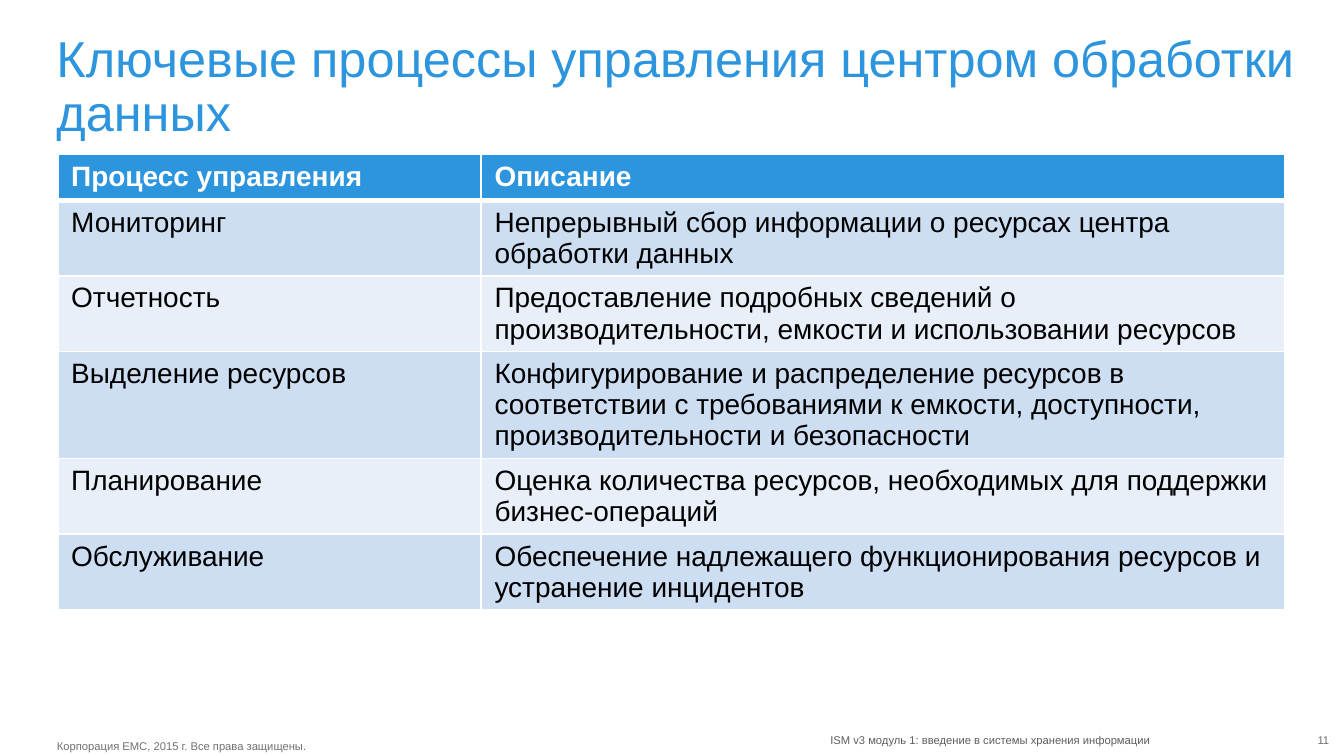
from lxml import etree
from pptx import Presentation
from pptx.dml.color import RGBColor
from pptx.enum import text as t
from pptx.oxml import ns
from pptx.util import Inches, Pt

FONT = "Arial"
BLUE = RGBColor(0x2C, 0x95, 0xDD)
BAND_DARK = RGBColor(0xCD, 0xDD, 0xF2)
BAND_LIGHT = RGBColor(0xE8, 0xEF, 0xF9)
WHITE = RGBColor(0xFF, 0xFF, 0xFF)
BLACK = RGBColor(0, 0, 0)
GREY = RGBColor(0x71, 0x70, 0x73)
DARK_GREY = RGBColor(0x5B, 0x5E, 0x61)

# Content
TITLE = "Ключевые процессы управления центром обработки данных"
ROWS = [
    ("Процесс управления", "Описание"),
    ("Мониторинг", "Непрерывный сбор информации о ресурсах центра обработки данных"),
    ("Отчетность", "Предоставление подробных сведений о производительности, "
                   "емкости и использовании ресурсов"),
    ("Выделение ресурсов", "Конфигурирование и распределение ресурсов в соответствии "
                           "с требованиями к емкости, доступности, "
                           "производительности и безопасности"),
    ("Планирование", "Оценка количества ресурсов, необходимых для поддержки бизнес-операций"),
    ("Обслуживание", "Обеспечение надлежащего функционирования ресурсов "
                     "и устранение инцидентов"),
]
COLUMN_WIDTHS = (3.15, 5.98)
ROW_HEIGHT = 0.34

# Footer: text, place, colour, alignment, margins kept, wrapped
FOOTER = [
    (" Корпорация EMC, 2015 г. Все права защищены.", (0.4, 5.5, 1.91, 0.1),
     GREY, t.PP_ALIGN.LEFT, False, False),
    ("ISM v3 модуль 1: введение в системы хранения информации", (6.08, 5.41, 2.83, 0.2),
     DARK_GREY, t.PP_ALIGN.LEFT, True, True),
    ("11", (9.58, 5.46, 0.31, 0.1), GREY, t.PP_ALIGN.RIGHT, False, True),
]


def add_span(para, words, size, color, bold=False):
    span = para.add_run()
    span.text = words
    span.font.name = FONT
    span.font.size = Pt(size)
    span.font.bold = bold
    span.font.color.rgb = color


def clear_margins(frame):
    frame.margin_left = frame.margin_right = 0
    frame.margin_top = frame.margin_bottom = 0


def add_borders(cell, top, bottom):
    """White cell edges; must come before the cell's fill."""
    properties = cell._tc.get_or_add_tcPr()
    for side, width in (("L", 1), ("R", 1), ("T", top), ("B", bottom)):
        line = etree.SubElement(properties, ns.qn(f"a:ln{side}"), w=str(Pt(width)))
        fill = etree.SubElement(line, ns.qn("a:solidFill"))
        etree.SubElement(fill, ns.qn("a:srgbClr"), val=str(WHITE))


# Wide page, 16 by 9
deck = Presentation()
deck.slide_width = Inches(10)
deck.slide_height = deck.slide_width * 9 // 16
page = deck.slides.add_slide(deck.slide_layouts[5])

# Title
title = page.shapes.title
title.left, title.top, title.width, title.height = map(Inches, (0.42, 0.25, 9.59, 0.5))
frame = title.text_frame
clear_margins(frame)
frame.word_wrap = True
frame.auto_size = t.MSO_AUTO_SIZE.NONE
frame.vertical_anchor = t.MSO_ANCHOR.TOP
para = frame.paragraphs[0]
para.alignment = t.PP_ALIGN.LEFT
para.line_spacing = 0.9
add_span(para, TITLE, 27, BLUE)

# Process table
table = page.shapes.add_table(
    len(ROWS), len(COLUMN_WIDTHS), Inches(0.43), Inches(1.15),
    Inches(sum(COLUMN_WIDTHS)), Inches(ROW_HEIGHT * len(ROWS))).table
for column, width in zip(table.columns, COLUMN_WIDTHS):
    column.width = Inches(width)
for i, row in enumerate(ROWS):
    table.rows[i].height = Inches(ROW_HEIGHT)
    header = i == 0
    fill = BLUE if header else BAND_DARK if i % 2 else BAND_LIGHT
    for j, words in enumerate(row):
        cell = table.cell(i, j)
        add_borders(cell, top=3 if i == 1 else 1, bottom=3 if header else 1)
        cell.fill.solid()
        cell.fill.fore_color.rgb = fill
        add_span(cell.text_frame.paragraphs[0], words, 15,
                 WHITE if header else BLACK, header)

# Footer and page number
for words, place, color, alignment, margins, wrap in FOOTER:
    box = page.shapes.add_textbox(*map(Inches, place))
    frame = box.text_frame
    frame.word_wrap = wrap
    frame.auto_size = t.MSO_AUTO_SIZE.SHAPE_TO_FIT_TEXT
    if not margins:
        clear_margins(frame)
    para = frame.paragraphs[0]
    para.alignment = alignment
    add_span(para, words, 6, color)

deck.save("out.pptx")
